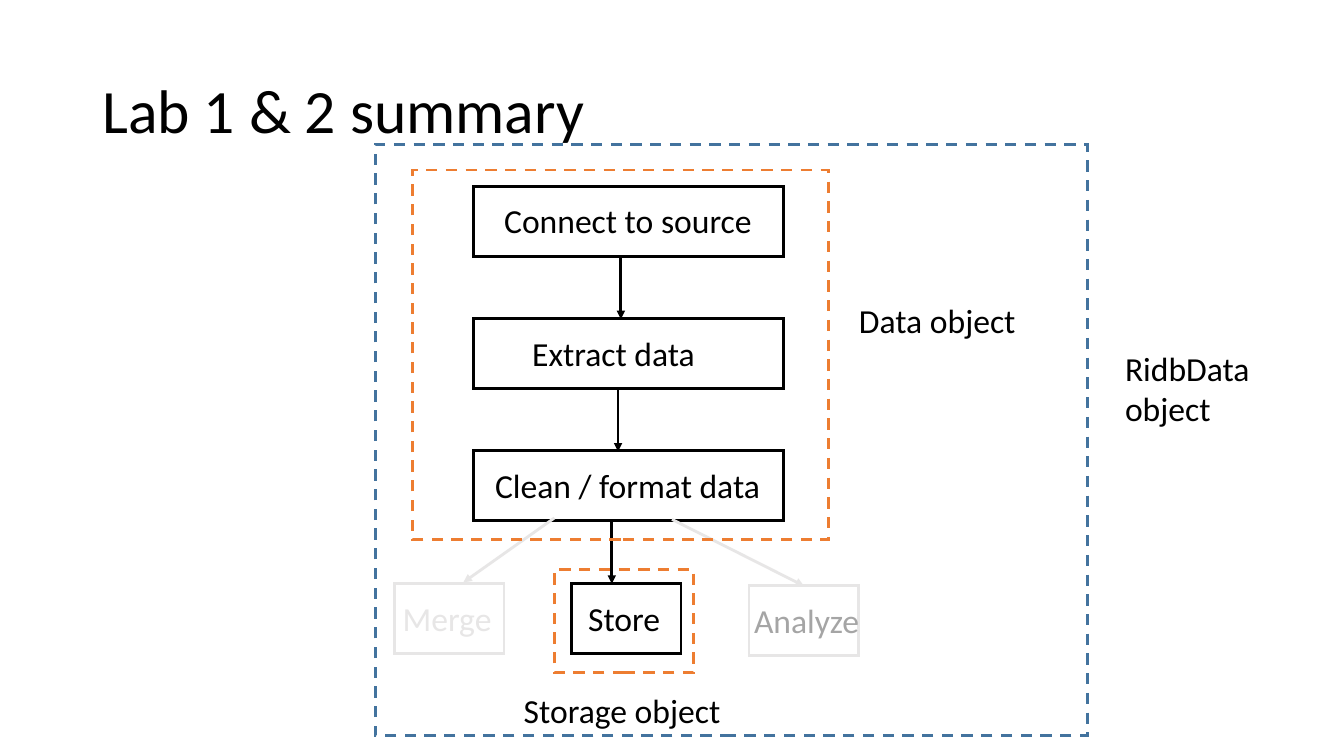
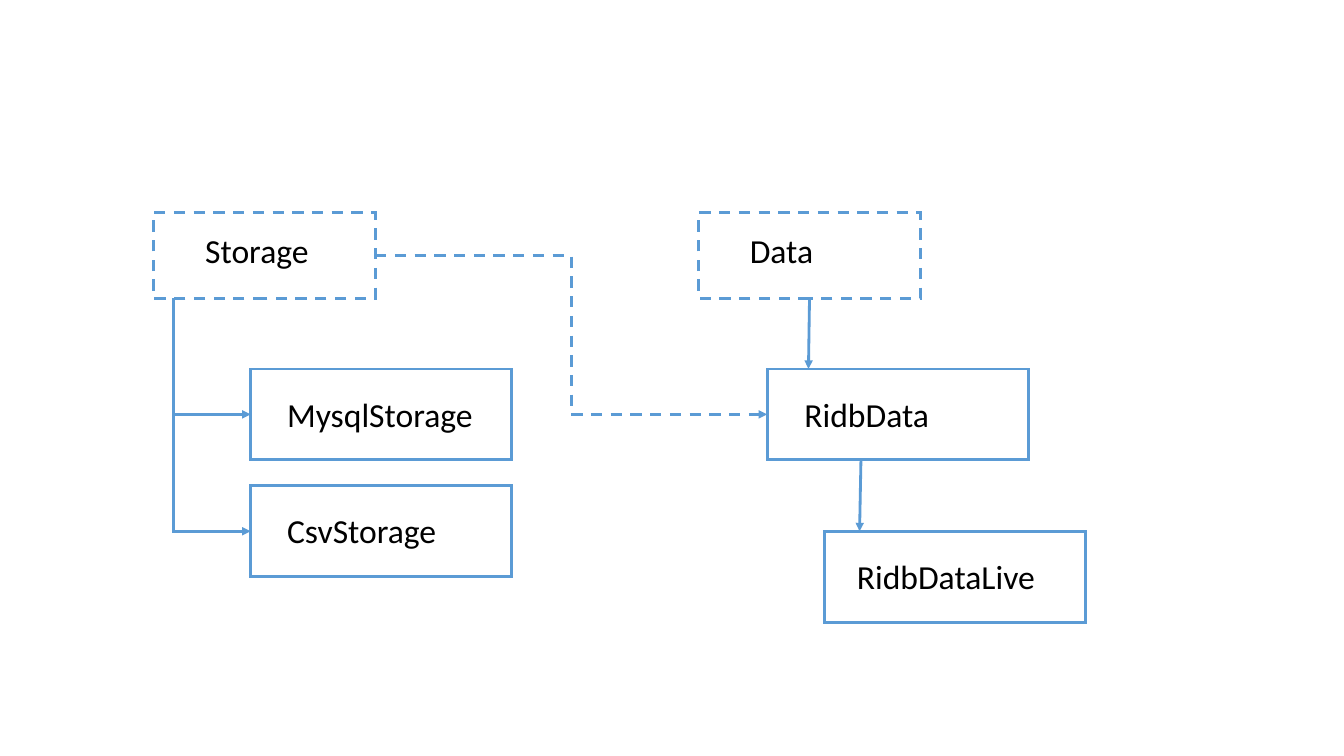
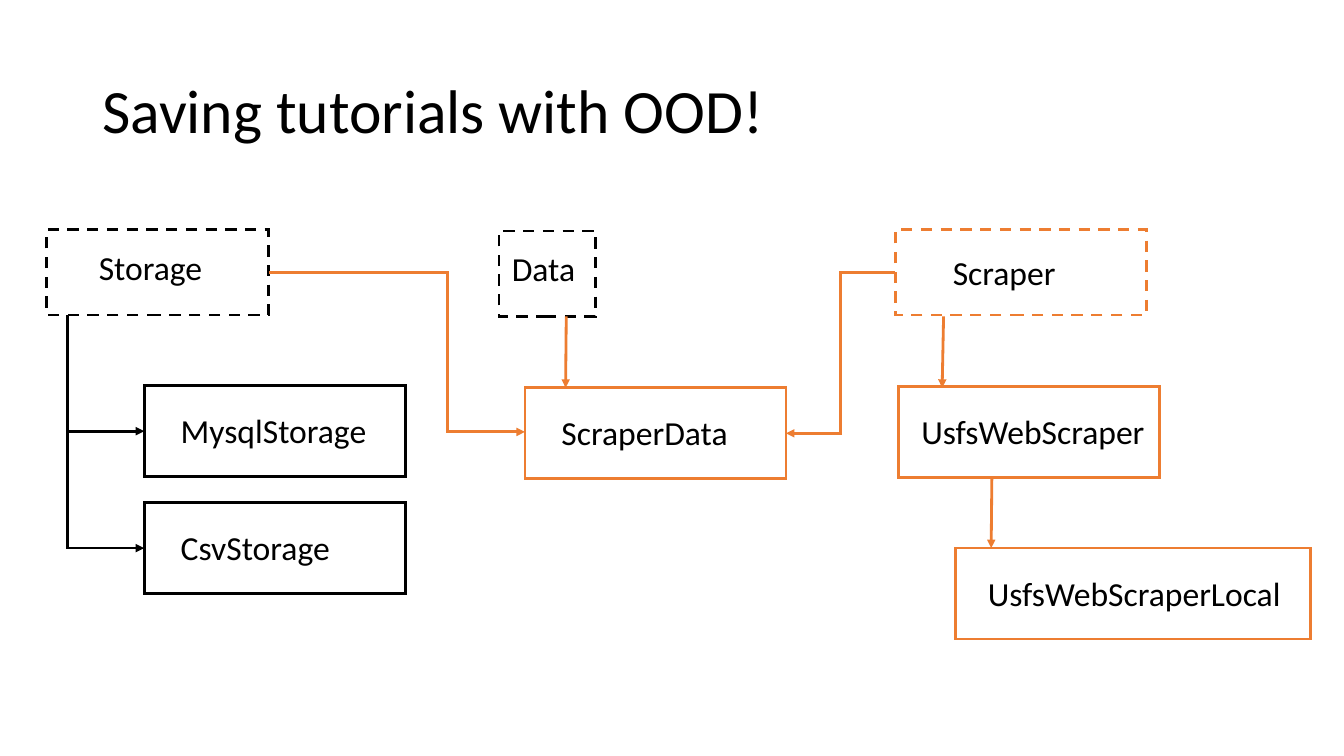
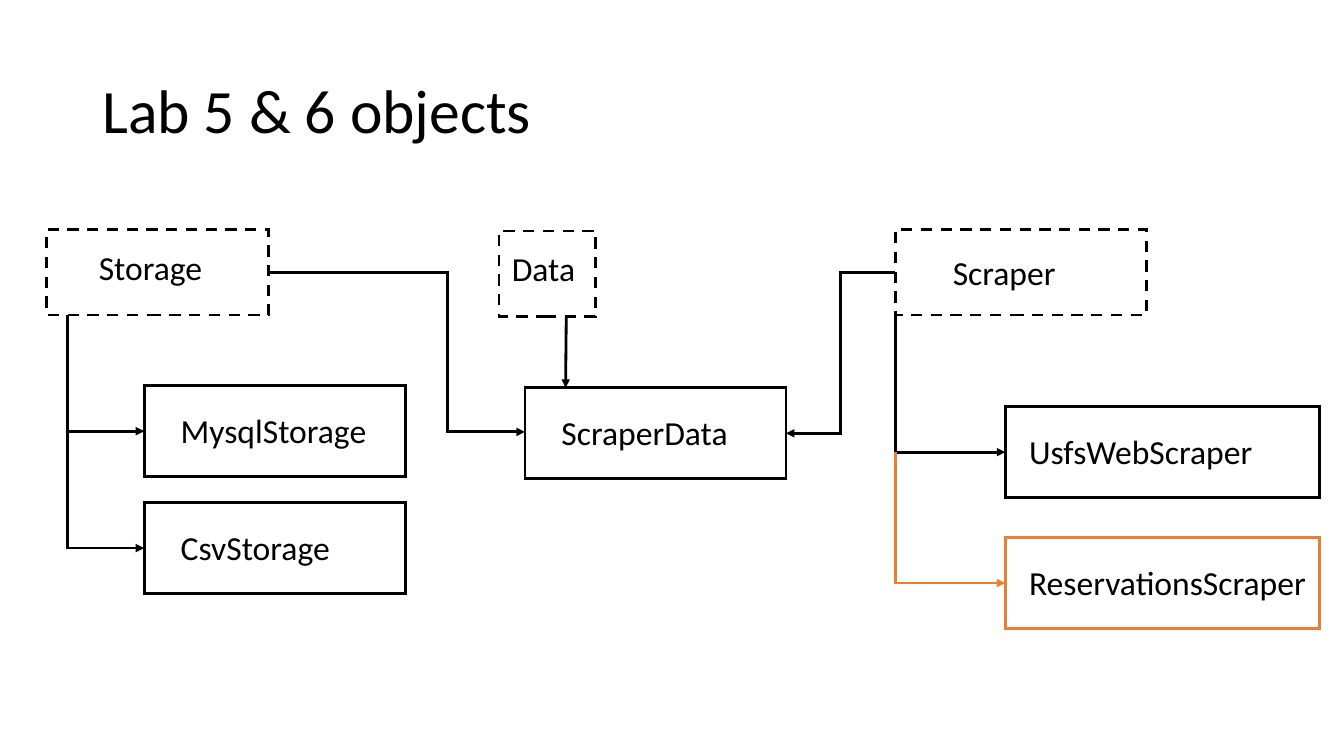
from dataclasses import dataclass

from lxml.etree import SubElement
from pptx import Presentation
from pptx.dml.color import RGBColor as RGB
from pptx.enum.dml import MSO_LINE
from pptx.enum.shapes import MSO_CONNECTOR as CONN, MSO_SHAPE as SHAPE
from pptx.enum.text import MSO_ANCHOR as ANCHOR, MSO_AUTO_SIZE as AUTO
from pptx.oxml.ns import qn
from pptx.util import Pt


@dataclass(frozen=True)
class Theme:
    font: str = "Calibri"
    title_size: int = 44
    label_size: int = 24
    line_width: int = 2
    black: RGB = RGB(0x00, 0x00, 0x00)
    orange: RGB = RGB(0xED, 0x7D, 0x31)
    blue: RGB = RGB(0x5B, 0x9B, 0xD5)
    navy: RGB = RGB(0x43, 0x73, 0x9E)
    pale: RGB = RGB(0xE7, 0xE6, 0xE6)
    grey: RGB = RGB(0xA5, 0xA5, 0xA5)


T = Theme()

# Sizes of the class boxes, in points
PARENT = (158.5, 61)
CHILD = (186.5, 65)


class Deck:
    """Holds the style and the current slide; all lengths are in points."""

    def __init__(self, theme):
        self.t = theme
        self.prs = Presentation()
        self.prs.slide_width, self.prs.slide_height = Pt(960), Pt(540)
        self.s = None

    def slide(self, title=None):
        self.s = self.prs.slides.add_slide(self.prs.slide_layouts[6])
        if title:
            tf = self.text(66, 29, 828, 104, [title], self.t.title_size, self.t.black)
            tf.word_wrap = True
            tf.vertical_anchor = ANCHOR.MIDDLE
            tf.paragraphs[0].line_spacing = 0.9

    def text(self, x, y, w, h, lines, size, color):
        tf = self.s.shapes.add_textbox(Pt(x), Pt(y), Pt(w), Pt(h)).text_frame
        for i, line in enumerate(lines):
            p = tf.add_paragraph() if i else tf.paragraphs[0]
            r = p.add_run()
            r.text = line
            r.font.name = self.t.font
            r.font.size = Pt(size)
            r.font.color.rgb = color
        return tf

    def label(self, x, y, w, *lines, color=None):
        tf = self.text(x, y, w, 7 + 29 * len(lines), lines,
                       self.t.label_size, color or self.t.black)
        tf.word_wrap = False
        tf.auto_size = AUTO.SHAPE_TO_FIT_TEXT

    def stroke(self, sp, color, dash):
        """Set the line and give it square corners."""
        sp.line.color.rgb = color
        sp.line.width = Pt(self.t.line_width)
        if dash:
            sp.line.dash_style = MSO_LINE.DASH
        ln = sp._element.spPr.find(qn("a:ln"))
        SubElement(ln, qn("a:miter"), lim="800000")
        return ln

    def box(self, x, y, w, h, color, dash=False):
        sp = self.s.shapes.add_shape(SHAPE.RECTANGLE, Pt(x), Pt(y), Pt(w), Pt(h))
        sp.shadow.inherit = False
        sp.fill.background()
        self.stroke(sp, color, dash)
        return sp

    def node(self, x, y, size, color, text, dx, dy, w, dash=False, ink=None):
        """A box and its label, which starts dx, dy from the box's corner."""
        sp = self.box(x, y, *size, color, dash)
        self.label(x + dx, y + dy, w, text, color=ink)
        return sp

    def connector(self, kind, x1, y1, x2, y2, color, dash=False):
        c = self.s.shapes.add_connector(kind, Pt(x1), Pt(y1), Pt(x2), Pt(y2))
        SubElement(self.stroke(c, color, dash), qn("a:tailEnd"), type="triangle")
        SubElement(c._element.spPr, qn("a:effectLst"))
        return c

    def arrow(self, x1, y1, x2, y2, color):
        return self.connector(CONN.STRAIGHT, x1, y1, x2, y2, color)

    def elbow(self, x1, y1, x2, y2, color, dash=False, bend=0.5):
        """Across, down and across again, turning at the share bend."""
        c = self.connector(CONN.ELBOW, x1, y1, x2, y2, color, dash)
        if bend != 0.5:
            guides = c._element.spPr.find(qn("a:prstGeom")).find(qn("a:avLst"))
            SubElement(guides, qn("a:gd"), name="adj1", fmla=f"val {round(bend * 100000)}")

    def branch(self, x1, y1, x2, y2, color):
        """Down, then right: a one-bend connector, turned and mirrored."""
        cx, cy = (x1 + x2) / 2, (y1 + y2) / 2
        half_w, half_h = (y2 - y1) / 2, (x2 - x1) / 2
        c = self.connector(CONN.ELBOW, cx - half_w, cy - half_h,
                           cx + half_w, cy + half_h, color)
        props = c._element.spPr
        props.find(qn("a:prstGeom")).set("prst", "bentConnector2")
        frame = props.find(qn("a:xfrm"))
        frame.set("rot", "16200000")
        frame.set("flipH", "1")


def storage_family(d, x, y, color, dx, dy):
    """Storage with its two subclasses."""
    d.node(x, y, PARENT, color, "Storage", dx, dy, 89, dash=True)
    child_x, start = x + 69.5, y + PARENT[1]
    for text, w, top in (("MysqlStorage", 148.5, y + 111.5), ("CsvStorage", 122.5, y + 195)):
        d.node(child_x, top, CHILD, color, text, 19, 14, w)
        middle = top + CHILD[1] / 2
        d.branch(x + 14.5, start, child_x, middle, color)
        start = middle


def scraper_classes(d, color):
    """The class diagram that the last two slides share."""
    storage_family(d, 33.5, 164, T.black, 30, 8.5)
    d.node(356.5, 165, (69, 61), T.black, "Data", 2, 8.5, 60.5, dash=True)
    d.node(375, 277, CHILD, color, "ScraperData", 19, 14, 134.5)
    d.node(639.5, 164, (179.5, 61), color, "Scraper", 34, 12.5, 88.5, dash=True)
    d.arrow(404.5, 226, 404, 277, color)
    d.elbow(192, 194.5, 375, 308.5, color, bend=0.697)
    d.elbow(639.5, 194.5, 561.5, 309.5, color)


def summary_slide(d):
    d.slide("Lab 1 & 2 summary")

    # Pipeline steps, each with the arrow that leaves it
    steps = (("Connect to source", 14.5, 193, 443.5),
             ("Extract data", 34.5, 132, 441.5),
             ("Clean / format data", 8, 206, 437))
    for i, (text, dx, w, arrow_x) in enumerate(steps):
        y = 133 + 94.5 * i
        d.node(338.5, y, (221, 50), T.black, text, dx, 6.5, w)
        d.arrow(arrow_x, y + 50, arrow_x, y + 95, T.black)

    # Outcomes
    small = (78.5, 50)
    d.node(281.5, 417, small, T.pale, "Merge", -1, 6.5, 84, ink=T.pale)
    d.node(408, 417, small, T.black, "Store", 5, 6.5, 69)
    analyze = d.node(535, 418.5, small, T.pale, "Analyze", -3.5, 6.5, 90.5, ink=T.grey)
    d.arrow(480, 371, 574.25, 418.5, T.pale).end_connect(analyze, 0)
    d.arrow(396, 370, 331, 416, T.pale)

    # Object frames and their names
    for x, y, w, h, color in ((294.5, 121.5, 297.5, 264, T.orange),
                              (396, 407, 99.5, 73.5, T.orange),
                              (268, 103, 509, 422.5, T.navy)):
        d.box(x, y, w, h, color, dash=True)
    d.label(367, 489.5, 156, "Storage object")
    d.label(606.5, 211, 127.5, "Data object")
    d.label(796.5, 245, 110, "RidbData", "object")


def inheritance_slide(d):
    d.slide()
    storage_family(d, 109.5, 152, T.blue, 30, 8.5)
    data = d.node(499, 152, PARENT, T.blue, "Data", 29.5, 8.5, 60.5, dash=True)
    d.node(548, 263.5, CHILD, T.blue, "RidbData", 19.5, 14, 104.5)
    d.node(589, 379.5, CHILD, T.blue, "RidbDataLive", 16, 14, 143.5)
    d.elbow(268, 182.5, 548, 296, T.blue, dash=True)
    d.arrow(578.25, 213, 577.5, 263.5, T.blue).begin_connect(data, 2)
    d.arrow(615, 328.5, 614, 379.5, T.blue)


def tutorials_slide(d):
    d.slide("Saving tutorials with OOD!")
    scraper_classes(d, T.orange)
    d.node(641.5, 276, CHILD, T.orange, "UsfsWebScraper", 9.5, 14, 175.5)
    d.node(682.5, 391.5, (253.5, 65), T.orange, "UsfsWebScraperLocal", 16, 14, 226)
    d.arrow(674, 226, 673, 277, T.orange)
    d.arrow(708.5, 340.5, 708, 391.5, T.orange)


def objects_slide(d):
    d.slide("Lab 5 & 6 objects")
    scraper_classes(d, T.black)
    start = 225
    for text, w, top, color in (("UsfsWebScraper", 175.5, 290.5, T.black),
                                ("ReservationsScraper", 214.5, 384, T.orange)):
        d.node(718, top, (224.5, 65), color, text, 10, 14, w)
        d.branch(639.5, start, 718, top + 32.5, color)
        start = top + 32.5


def main():
    d = Deck(T)
    for build in (summary_slide, inheritance_slide, tutorials_slide, objects_slide):
        build(d)
    d.prs.save("out.pptx")


if __name__ == "__main__":
    main()
